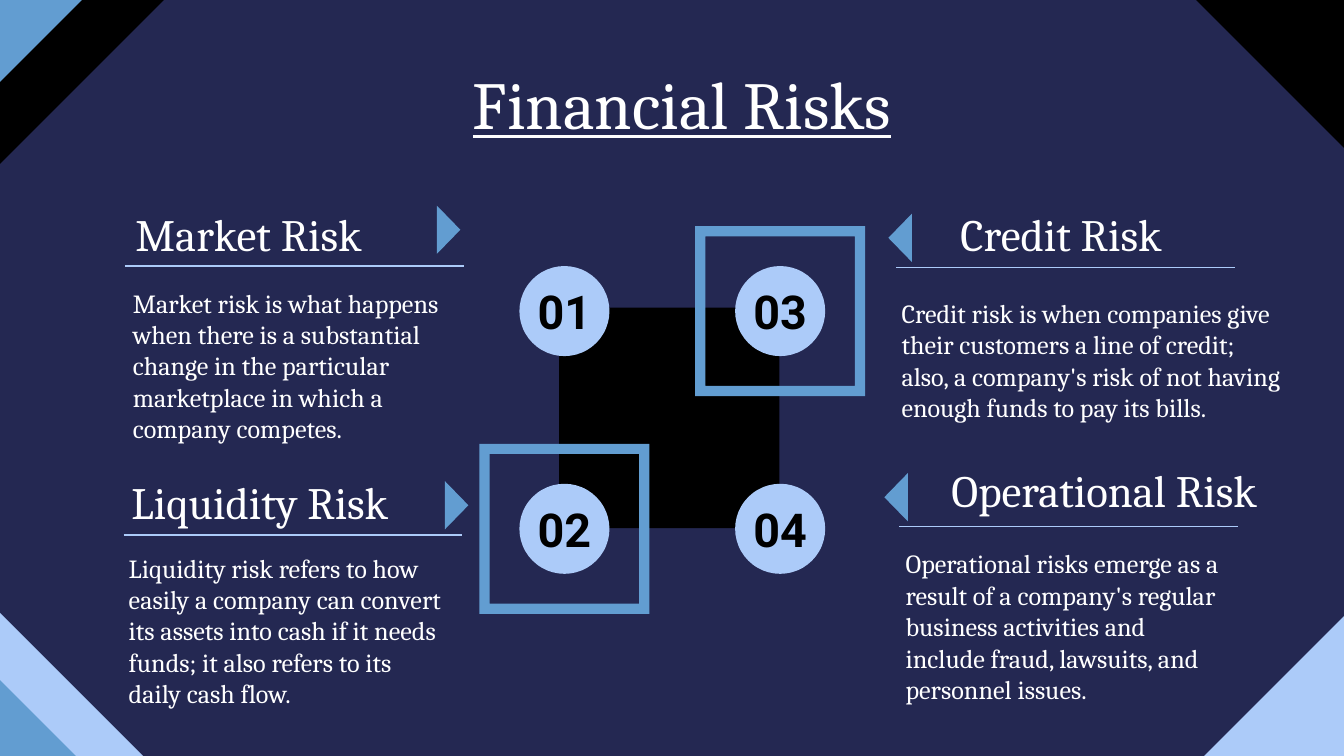
from dataclasses import dataclass

from lxml.etree import SubElement
from pptx import Presentation
from pptx.dml.color import RGBColor
from pptx.enum.shapes import MSO_CONNECTOR as Connector, MSO_SHAPE as Preset
from pptx.enum.text import MSO_ANCHOR as Anchor, PP_ALIGN as Align
from pptx.oxml.ns import qn
from pptx.util import Inches, Pt

# The slide is a grid of square cells; every length below counts cells
COLUMNS, ROWS = 100, 56.25
CELL = Inches(10) / COLUMNS


@dataclass(frozen=True)
class Theme:
    navy: str = "242852"
    blue: str = "629DD1"
    pale: str = "ACCBF9"
    black: str = "000000"
    white: str = "FFFFFF"
    serif: str = "Cambria"
    sans: str = "Roboto"
    title: int = 36
    heading: int = 24
    number: int = 25
    body: int = 14
    rule: float = 0.75


@dataclass(frozen=True)
class Panel:
    """A risk; parts are offset from the left end of its rule."""
    heading: str
    body: str
    rule: tuple           # left, top
    heading_box: tuple    # x offset, centre y offset, width
    body_box: tuple       # x offset, centre y offset, width
    arrow: tuple          # x offset, centre y offset
    points_right: bool
    align: Align = Align.LEFT


THEME = Theme()
RULE_WIDTH = 25.2

PANELS = [
    Panel("Market Risk",
          "Market risk is what happens when there is a substantial change in "
          "the particular marketplace in which a company competes.",
          (9.3, 19.8), (-0.2, -2.4, 25.7), (-0.4, 7.4, 27.3), (23.2, -2.7), True),
    Panel("Liquidity Risk",
          "Liquidity risk refers to how easily a company can convert its assets "
          "into cash if it needs funds; it also refers to its daily cash flow.",
          (9.2, 39.8), (-0.4, -2.5, 25.7), (-0.6, 7.1, 25.7), (23.9, -2.2), True),
    Panel("Credit Risk",
          "Credit risk is when companies give their customers a line of credit; "
          "also, a company's risk of not having enough funds to pay its bills.",
          (66.7, 19.9), (-0.6, -2.5, 25.7), (-0.6, 6.9, 30.6), (-0.6, -2.2), False,
          Align.CENTER),
    Panel("Operational Risk",
          "Operational risks emerge as a result of a company's regular business "
          "activities and include fraud, lawsuits, and personnel issues.",
          (66.9, 39.2), (-0.8, -2.8, 28.4), (-0.5, 7.4, 25.7), (-1.1, -2.2), False,
          Align.RIGHT),
]


def cells(*counts):
    return [round(count * CELL) for count in counts]


def paint(shape, color):
    shape.shadow.inherit = False
    shape.fill.solid()
    shape.fill.fore_color.rgb = RGBColor.from_string(color)
    shape.line.fill.background()
    return shape


def add_polygon(slide, points, color):
    start, *others = [cells(*point) for point in points]
    builder = slide.shapes.build_freeform(*start, scale=1.0)
    builder.add_line_segments(others, close=True)
    paint(builder.convert_to_shape(), color)


def add_preset(slide, preset, box, color):
    return paint(slide.shapes.add_shape(preset, *cells(*box)), color)


def write(shape, text, align=Align.LEFT, **font_format):
    frame = shape.text_frame
    inset = Inches(0.1)
    frame_format = dict(word_wrap=True, vertical_anchor=Anchor.MIDDLE,
                        margin_left=inset, margin_right=inset,
                        margin_top=inset, margin_bottom=inset)
    for name, value in frame_format.items():
        setattr(frame, name, value)
    paragraph = frame.paragraphs[0]
    paragraph.alignment = align
    run = paragraph.add_run()
    run.text = text
    color = font_format.pop("color", THEME.white)
    for name, value in {"name": THEME.serif, **font_format}.items():
        setattr(run.font, name, value)
    run.font.color.rgb = RGBColor.from_string(color)


def add_text(slide, box, text, align=Align.LEFT, **font_format):
    write(slide.shapes.add_textbox(*cells(*box)), text, align, **font_format)


def add_corner(slide, x, y, size, color):
    """Fill one corner of the slide with a right triangle."""
    inward_x = size if x == 0 else -size
    inward_y = size if y == 0 else -size
    add_polygon(slide, [(x, y), (x + inward_x, y), (x, y + inward_y)], color)


def add_background(slide):
    fill = slide.background.fill
    fill.solid()
    fill.fore_color.rgb = RGBColor.from_string(THEME.navy)
    for corner in [(0, ROWS, 10.65, THEME.pale), (0, ROWS, 5.65, THEME.blue),
                   (0, 0, 12.2, THEME.black), (0, 0, 6.1, THEME.blue),
                   (COLUMNS, 0, 11, THEME.black),
                   (COLUMNS, ROWS, 10.4, THEME.pale)]:
        add_corner(slide, *corner)


def add_title(slide, box):
    title = slide.shapes.title
    for name, value in zip(("left", "top", "width", "height"), cells(*box)):
        setattr(title, name, value)
    write(title, "Financial Risks", Align.CENTER,
          size=Pt(THEME.title), underline=True)


def add_panel(slide, panel):
    left, top = panel.rule

    # Heading and description, each centred on its own line
    for (dx, dy, width), height, text, align, size in [
            (panel.heading_box, 5.8, panel.heading, panel.align, THEME.heading),
            (panel.body_box, 13.4, panel.body, Align.LEFT, THEME.body)]:
        add_text(slide, (left + dx, top + dy - height / 2, width, height),
                 text, align, size=Pt(size))

    # Rule
    rule = slide.shapes.add_connector(
        Connector.STRAIGHT, *cells(left, top, left + RULE_WIDTH, top))
    rule.line.color.rgb = RGBColor.from_string(THEME.pale)
    rule.line.width = Pt(THEME.rule)
    SubElement(rule._element.spPr, qn("a:effectLst"))

    # Arrow towards the diagram
    x, middle = left + panel.arrow[0], top + panel.arrow[1]
    base, tip = (x, x + 1.75) if panel.points_right else (x + 1.75, x)
    add_polygon(slide, [(base, middle - 1.8), (tip, middle), (base, middle + 1.8)],
                THEME.blue)


def add_diagram(slide, left, top, side):
    """A square with a numbered disc on each corner, two of them framed."""
    add_preset(slide, Preset.RECTANGLE, (left, top, side, side), THEME.black)
    disc, frame = 6.7, 12.65
    centres = [(left + 0.4 + column * 16.05, top + 0.25 + row * 16.2)
               for column in range(2) for row in range(2)]
    for number, (x, y) in enumerate(centres, start=1):
        if number in (2, 3):
            outline = add_preset(slide, Preset.FRAME,
                                 (x - frame / 2, y - frame / 2, frame, frame),
                                 THEME.blue)
            outline.adjustments[0] = 0.06
        add_preset(slide, Preset.OVAL, (x - disc / 2, y - disc / 2, disc, disc),
                   THEME.pale)
        add_text(slide, (x - 3.65, y - 2.05, 7.3, 4.1), f"{number:02}",
                 Align.CENTER, name=THEME.sans, size=Pt(THEME.number),
                 bold=True, color=THEME.black)


def main():
    presentation = Presentation()
    presentation.slide_width, presentation.slide_height = cells(COLUMNS, ROWS)
    slide = presentation.slides.add_slide(presentation.slide_layouts[5])
    add_background(slide)
    add_title(slide, (8.6, 4.5, 84.3, 6.3))
    for panel in PANELS:
        add_panel(slide, panel)
    add_diagram(slide, 41.6, 22.9, 16.4)
    presentation.save("out.pptx")


if __name__ == "__main__":
    main()
